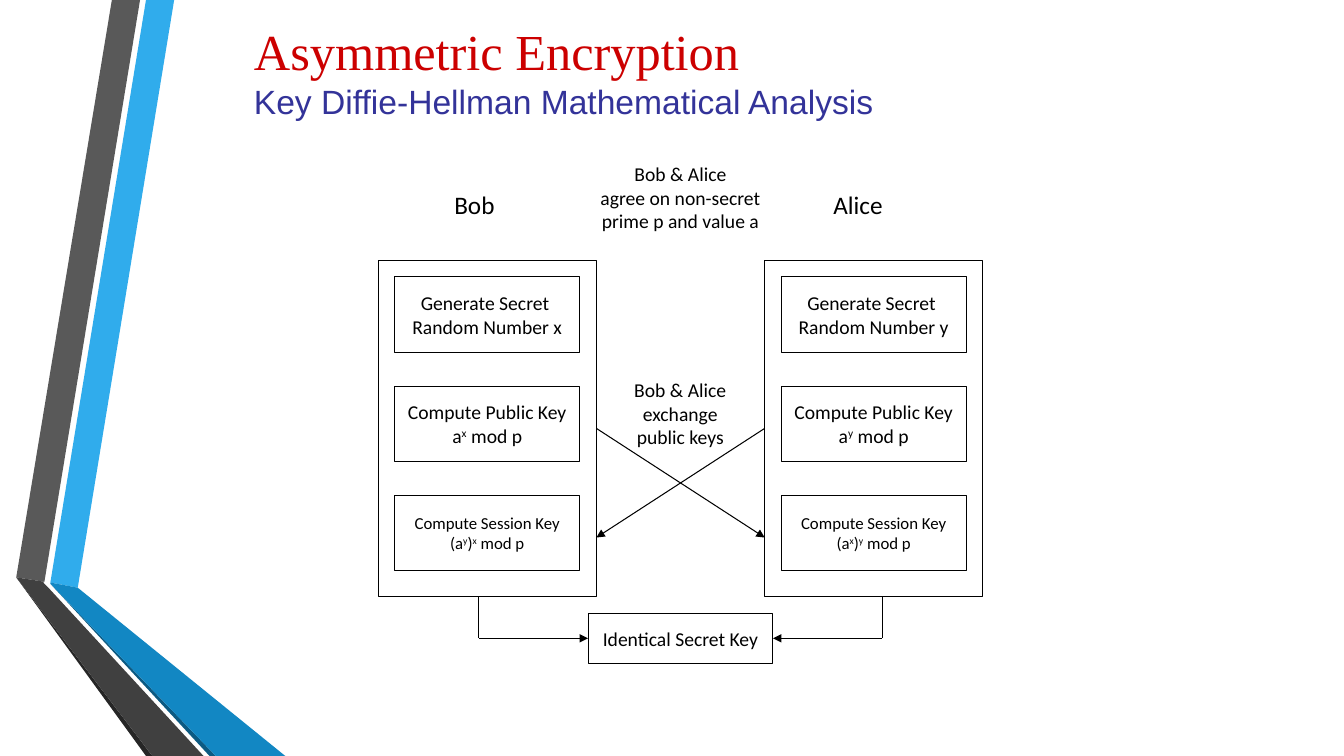
from lxml.etree import SubElement
from pptx import Presentation
from pptx.dml.color import RGBColor
from pptx.enum.shapes import MSO_CONNECTOR, MSO_SHAPE
from pptx.enum.text import MSO_ANCHOR, PP_ALIGN
from pptx.oxml.ns import qn
from pptx.util import Cm, Pt

BLACK = "000000"
SLIDE_WIDTH, SLIDE_HEIGHT = 33.87, 19.05
COLUMN_TOP, COLUMN_WIDTH, COLUMN_HEIGHT = 6.56, 5.5, 8.47
BOB_LEFT, ALICE_LEFT = 9.53, 19.27
STEP_INSET, STEP_WIDTH, STEP_HEIGHT, STEP_PITCH = 0.42, 4.66, 1.9, 2.75
KEY_LEFT, KEY_TOP, KEY_HEIGHT = 14.82, 15.45, 1.27

RIBBONS = [
    ("30ACEC", [(1.27, 14.68), (1.96, 14.81), (4.39, 0), (3.68, 0)]),
    ("595959", [(3.53, 0), (2.82, 0), (0.41, 14.55), (1.12, 14.66)]),
    ("262626", [(0.41, 14.55), (3.68, 19.05), (3.84, 19.05)]),
    ("0C5A82", [(1.27, 14.71), (5.28, 19.05), (5.44, 19.05)]),
    ("1287C3", [(1.27, 14.71), (5.44, 19.05), (7.19, 19.05), (1.96, 14.81), (1.27, 14.68)]),
    ("404040", [(5.13, 19.05), (1.22, 14.81), (1.09, 14.68), (1.12, 14.66),
                (0.41, 14.55), (3.84, 19.05)]),
]


def color(value):
    return RGBColor.from_string(value)


def write_text(frame, text, size=14, font="Calibri", fill=BLACK,
               align=PP_ALIGN.CENTER, anchor=MSO_ANCHOR.MIDDLE, wrap=False):
    frame.word_wrap = wrap
    frame.vertical_anchor = anchor
    for line in text.split("\n"):
        first = frame.paragraphs[0]
        paragraph = frame.add_paragraph() if first.runs else first
        paragraph.alignment = align
        base, *powers = line.split("^")
        pieces = [(base, False)]
        for power in powers:
            pieces += [(power[0], True), (power[1:], False)]
        for piece, raised in pieces:
            run = paragraph.add_run()
            run.text = piece
            run.font.size = Pt(size)
            run.font.name = font
            run.font.color.rgb = color(fill)
            if raised:
                run.font._element.set("baseline", "30000")


def add_label(slide, text, left, top, width, height, **text_format):
    box = slide.shapes.add_textbox(Cm(left), Cm(top), Cm(width), Cm(height))
    write_text(box.text_frame, text, **text_format)
    return box


def add_box(slide, left, top, width, height, text="", **text_format):
    box = slide.shapes.add_shape(MSO_SHAPE.RECTANGLE, Cm(left), Cm(top), Cm(width), Cm(height))
    box.shadow.inherit = False
    box.fill.background()
    box.line.color.rgb = color(BLACK)
    box.line.width = Pt(0.75)
    if text:
        write_text(box.text_frame, text, **text_format)
    return box


def add_ribbon(slide, fill, points):
    start, *others = [(Cm(x), Cm(y)) for x, y in points]
    builder = slide.shapes.build_freeform(*start)
    builder.add_line_segments(others, close=True)
    ribbon = builder.convert_to_shape()
    ribbon.shadow.inherit = False
    ribbon.fill.solid()
    ribbon.fill.fore_color.rgb = color(fill)
    ribbon.line.fill.background()


def add_line(slide, start, end, arrow=True):
    line = slide.shapes.add_connector(MSO_CONNECTOR.STRAIGHT, *map(Cm, start + end))
    line.line.color.rgb = color(BLACK)
    line.line.width = Pt(0.75)
    if arrow:
        SubElement(line.line._get_or_add_ln(), qn("a:tailEnd"), type="triangle")
    SubElement(line._element.spPr, qn("a:effectLst"))
    return line


def add_party(slide, name, name_left, name_width, left, own, other):
    steps = [
        (f"Generate Secret \nRandom Number {own}", 14),
        (f"Compute Public Key\na^{own} mod p", 14),
        (f"Compute Session Key\n(a^{other})^{own} mod p", 12),
    ]
    for index, (text, size) in enumerate(steps):
        add_box(slide, left + STEP_INSET, COLUMN_TOP + STEP_INSET + index * STEP_PITCH,
                STEP_WIDTH, STEP_HEIGHT, text, size=size)
    add_label(slide, name, name_left, 4.65, name_width, 1.02, size=18,
              align=PP_ALIGN.LEFT, anchor=MSO_ANCHOR.TOP)
    return add_box(slide, left, COLUMN_TOP, COLUMN_WIDTH, COLUMN_HEIGHT)


def add_exchange(slide, bob, alice):
    bob_right = BOB_LEFT + COLUMN_WIDTH
    middle = COLUMN_TOP + COLUMN_HEIGHT / 2
    for sender, side, start, end in [(bob, 3, bob_right, ALICE_LEFT),
                                     (alice, 1, ALICE_LEFT, bob_right)]:
        arrow = add_line(slide, (start, middle), (end, middle + STEP_PITCH))
        arrow.begin_connect(sender, side)


def add_shared_key(slide):
    key = add_box(slide, KEY_LEFT, KEY_TOP, STEP_WIDTH, KEY_HEIGHT, "Identical Secret Key")
    bottom = COLUMN_TOP + COLUMN_HEIGHT
    middle = KEY_TOP + KEY_HEIGHT / 2
    for x, edge, side in [(12.07, KEY_LEFT, 1), (22.23, KEY_LEFT + STEP_WIDTH, 3)]:
        add_line(slide, (x, bottom), (x, middle), arrow=False)
        add_line(slide, (x, middle), (edge, middle)).end_connect(key, side)


def main():
    presentation = Presentation()
    presentation.slide_width = Cm(SLIDE_WIDTH)
    presentation.slide_height = Cm(SLIDE_HEIGHT)
    slide = presentation.slides.add_slide(presentation.slide_layouts[6])

    for fill, points in RIBBONS:
        add_ribbon(slide, fill, points)

    title = add_label(slide, "Asymmetric Encryption", 6.15, 0.2, 21.59, 3.18, size=36,
                      font="Times New Roman", fill="CC0000", align=PP_ALIGN.LEFT, wrap=True)
    write_text(title.text_frame, "Key Diffie-Hellman Mathematical Analysis", size=24,
               font="Arial", fill="333399", align=PP_ALIGN.LEFT, wrap=True)

    add_label(slide, "Bob & Alice\nagree on non-secret\nprime p and value a",
              KEY_LEFT, 3.81, STEP_WIDTH, 2.33)
    bob = add_party(slide, "Bob", 11.2, 1.6, BOB_LEFT, "x", "y")
    alice = add_party(slide, "Alice", 20.75, 1.88, ALICE_LEFT, "y", "x")
    add_exchange(slide, bob, alice)
    add_shared_key(slide)
    add_label(slide, "Bob & Alice exchange public keys", 15.34, 9.4, 3.61, 2.06,
              anchor=MSO_ANCHOR.TOP, wrap=True)

    presentation.save("out.pptx")


if __name__ == "__main__":
    main()
